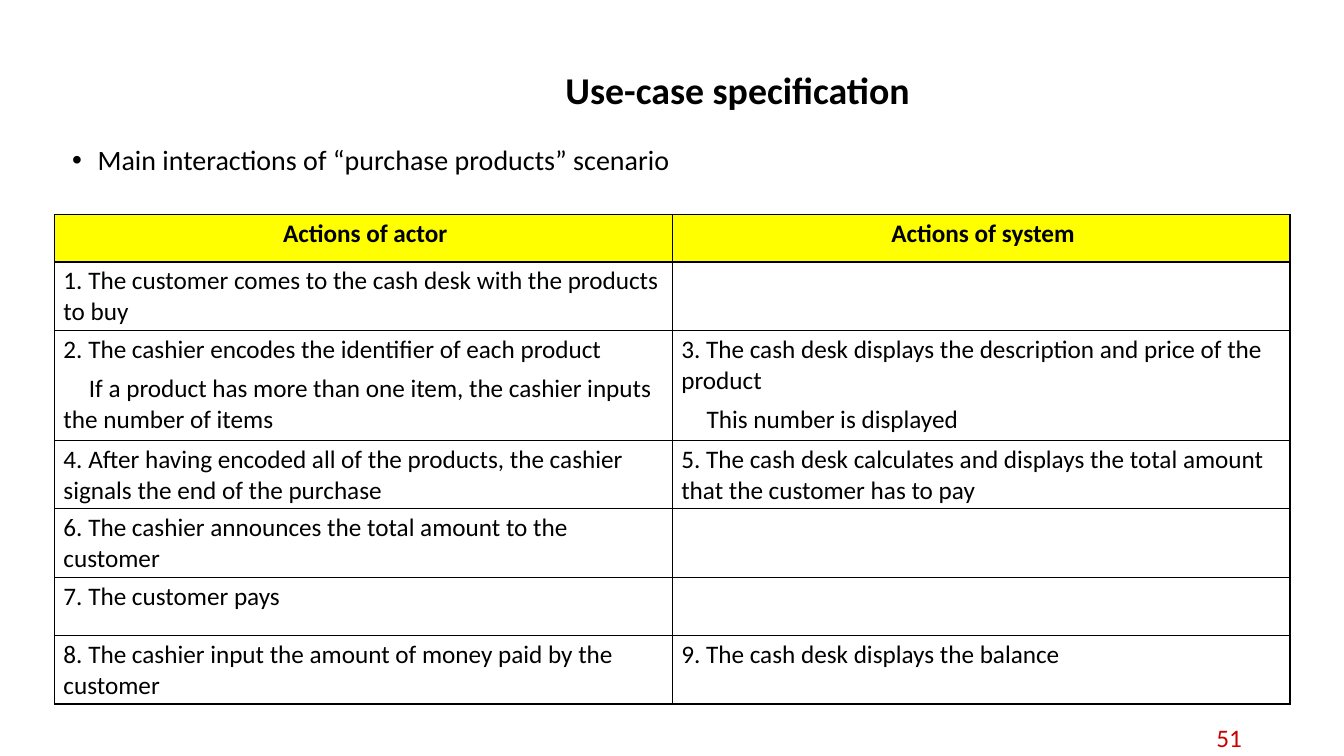
from lxml.etree import SubElement
from pptx import Presentation
from pptx.dml.color import RGBColor as RGB
from pptx.enum.text import MSO_ANCHOR as ANCHOR, PP_ALIGN as ALIGN
from pptx.oxml.ns import qn
from pptx.util import Cm, Pt

COLORS = {"text": "000000", "head": "FFFF00", "body": "FFFFFF", "number": "CC0000"}
FONT = "Calibri"
HEADINGS = ["Actions of actor", "Actions of system"]
STEPS = [
    (["1. The customer comes to the cash desk with the products to buy"], []),
    (["2. The cashier encodes the identifier of each product",
      "If a product has more than one item, the cashier inputs the number of items"],
     ["3. The cash desk displays the description and price of the product",
      "This number is displayed"]),
    (["4. After having encoded all of the products, the cashier signals the end of the purchase"],
     ["5. The cash desk calculates and displays the total amount that the customer has to pay"]),
    (["6. The cashier announces the total amount to the customer"], []),
    (["7. The customer pays"], []),
    (["8. The cashier input the amount of money paid by the customer"],
     ["9. The cash desk displays the balance"]),
]
ROW_HEIGHTS = [1.19, 1.6, 2.77] + [1.47] * 4


def color(name):
    """Return the named colour."""
    return RGB.from_string(COLORS[name])


def write(p, text, size, name="text", bold=False, align=ALIGN.LEFT):
    """Put formatted text into a paragraph."""
    p.text = text
    p.alignment = align
    for r in p.runs:
        r.font.name, r.font.size, r.font.bold = FONT, Pt(size), bold
        r.font.color.rgb = color(name)


def indent(p, left, first):
    """Set the left margin and first-line indent in centimetres."""
    pPr = p._p.get_or_add_pPr()
    pPr.set("marL", str(Cm(left)))
    pPr.set("indent", str(Cm(first)))
    return pPr


def add_text(s, box, anchor=ANCHOR.MIDDLE):
    """Add a wrapping text box and return its first paragraph."""
    tf = s.shapes.add_textbox(*map(Cm, box)).text_frame
    tf.word_wrap = True
    tf.vertical_anchor = anchor
    return tf.paragraphs[0]


def add_title(s, box):
    """Add the slide title."""
    p = add_text(s, box)
    p.line_spacing = 0.9
    write(p, "Use-case specification", 27, bold=True, align=ALIGN.CENTER)


def add_intro(s, box):
    """Add the bulleted introduction."""
    p = add_text(s, box, ANCHOR.TOP)
    p.line_spacing = 0.9
    pPr = indent(p, 0.64, -0.64)
    SubElement(pPr, qn("a:buFont"), typeface="Arial")
    SubElement(pPr, qn("a:buChar"), char="•")
    write(p, "Main interactions of “purchase products” scenario", 20)


def add_number(s, box):
    """Add the slide number."""
    write(add_text(s, box), "51", 18, "number", align=ALIGN.RIGHT)


def fill_cell(cell, lines, head):
    """Write, border and fill one table cell."""
    cell.margin_left = cell.margin_right = Cm(0.13)
    cell.margin_top = cell.margin_bottom = Cm(0.1)
    tf = cell.text_frame
    tf.text = "\n".join(lines)
    for i, p in enumerate(tf.paragraphs):
        indent(p, 0.1, 0.64 if i else 0)
        if i:
            p.space_before = Pt(6)
        write(p, p.text, 18, bold=head, align=ALIGN.CENTER if head else ALIGN.LEFT)
    tcPr = cell._tc.get_or_add_tcPr()
    for side in ("lnL", "lnR", "lnT", "lnB"):
        ln = SubElement(tcPr, qn(f"a:{side}"), w=str(Pt(1)))
        SubElement(SubElement(ln, qn("a:solidFill")), qn("a:srgbClr"), val=COLORS["text"])
    cell.fill.solid()
    cell.fill.fore_color.rgb = color("head" if head else "body")


def add_steps(s, box):
    """Add the table of actor and system actions."""
    rows = [[[h] for h in HEADINGS], *STEPS]
    table = s.shapes.add_table(len(rows), len(HEADINGS), *map(Cm, box)).table
    for row, height, texts in zip(table.rows, ROW_HEIGHTS, rows):
        row.height = Cm(height)
        for cell, lines in zip(row.cells, texts):
            fill_cell(cell, lines, texts is rows[0])


def main():
    """Build and save the slide."""
    prs = Presentation()
    prs.slide_width, prs.slide_height = Cm(33.87), Cm(19.05)
    s = prs.slides.add_slide(prs.slide_layouts[6])
    add_intro(s, (1.57, 3.56, 29.97, 13.13))
    add_number(s, (23.93, 18.14, 7.62, 0.91))
    add_title(s, (5.66, 1.02, 25.86, 2.59))
    add_steps(s, (1.37, 5.41, 31.14, sum(ROW_HEIGHTS)))
    prs.save("out.pptx")


if __name__ == "__main__":
    main()
